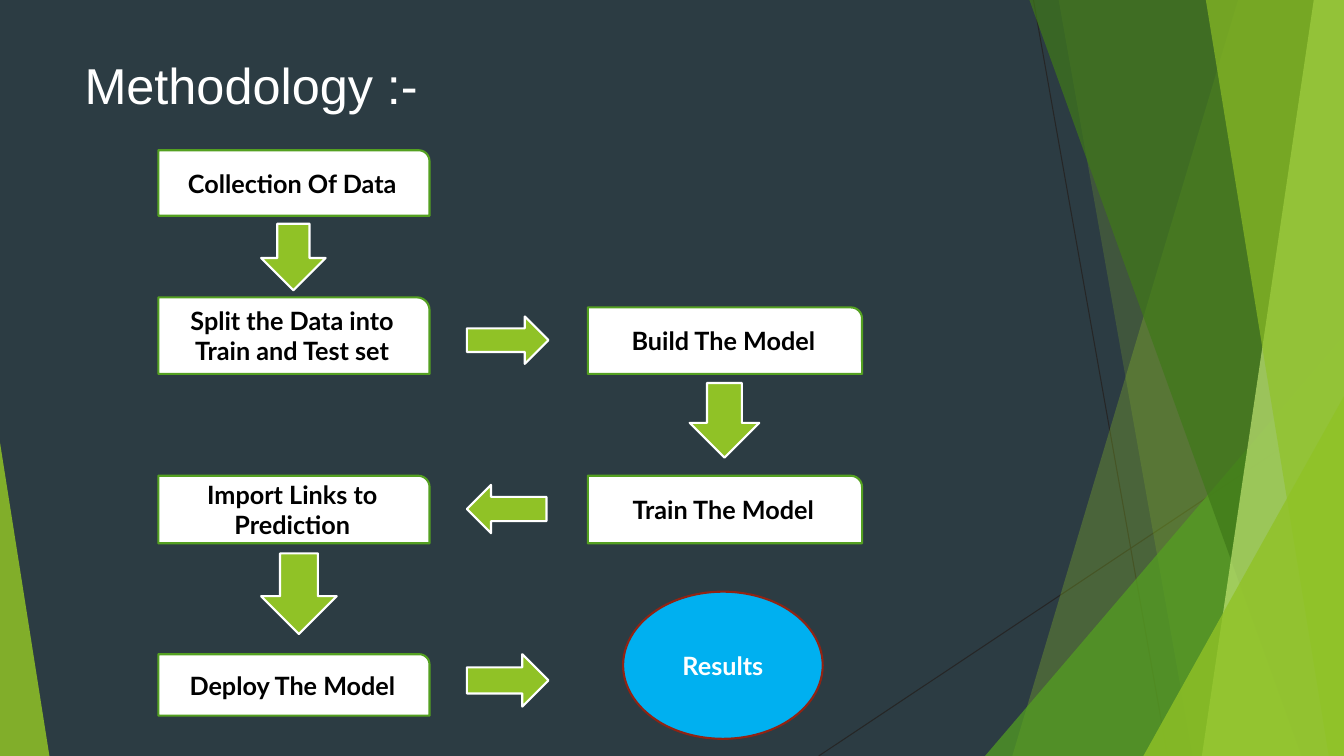
from lxml import etree
from pptx import Presentation
from pptx.dml.color import RGBColor
from pptx.enum.shapes import MSO_CONNECTOR, MSO_SHAPE
from pptx.enum.text import MSO_ANCHOR, PP_ALIGN
from pptx.oxml.ns import qn
from pptx.util import Inches, Pt

STRAIGHT = MSO_CONNECTOR.STRAIGHT
TRIANGLE = MSO_SHAPE.ISOSCELES_TRIANGLE
STEP = MSO_SHAPE.ROUND_1_RECTANGLE
ELLIPSE = MSO_SHAPE.OVAL
DOWN, LEFT, RIGHT = MSO_SHAPE.DOWN_ARROW, MSO_SHAPE.LEFT_ARROW, MSO_SHAPE.RIGHT_ARROW
MIDDLE = MSO_ANCHOR.MIDDLE
ALIGN_LEFT, ALIGN_CENTER = PP_ALIGN.LEFT, PP_ALIGN.CENTER

WIDTH, HEIGHT = 13.33, 7.5
LIME, GREEN, FOREST, PALE = "90C226", "54A021", "3F7819", "C0E474"
WHITE, BLACK, DARK = "FFFFFF", "000000", "262626"


def color(value):
    return RGBColor.from_string(value)


class FlowSlide:
    title_font, body_font = "Arial", "Lato"

    def __init__(self, slide, background):
        self.shapes = slide.shapes
        fill = slide.background.fill
        fill.solid()
        fill.fore_color.rgb = color(background)

    def paint(self, shape, fill, line=None, opacity=100):
        shape.shadow.inherit = False
        shape.fill.solid()
        shape.fill.fore_color.rgb = color(fill)
        if opacity < 100:
            tint = shape._element.spPr.find(qn("a:solidFill"))[0]
            etree.SubElement(tint, qn("a:alpha"), val=str(opacity * 1000))
        if line:
            shape.line.color.rgb = color(line)
            shape.line.width = Pt(1.5)
        else:
            shape.line.fill.background()

    def label(self, shape, text, font, size, ink, align, bold=False):
        frame = shape.text_frame
        frame.word_wrap = True
        frame.vertical_anchor = MIDDLE
        frame.text = text
        para = frame.paragraphs[0]
        para.alignment = align
        style = para.runs[0].font
        style.name, style.size, style.bold = font, Pt(size), bold
        style.color.rgb = color(ink)
        return para

    def line(self, *ends):
        line = self.shapes.add_connector(STRAIGHT, *map(Inches, ends))
        line.line.color.rgb = color(DARK)
        line.line.width = Pt(0.75)
        etree.SubElement(line._element.spPr, qn("a:effectLst"))

    def band(self, top_left, top_right, bottom_right, bottom_left, fill, opacity):
        corners = [(top_left, 0), (top_right, 0), (bottom_right, HEIGHT), (bottom_left, HEIGHT)]
        points = [(Inches(x), Inches(y)) for x, y in corners]
        builder = self.shapes.build_freeform(*points[0])
        builder.add_line_segments(points[1:], close=True)
        self.paint(builder.convert_to_shape(), fill, opacity=opacity)

    def shape(self, kind, place, fill, line=None, opacity=100):
        shape = self.shapes.add_shape(kind, *map(Inches, place))
        self.paint(shape, fill, line, opacity)
        return shape

    def triangle(self, left, top, width, apex, fill, opacity):
        place = (left, top, width, HEIGHT - top)
        self.shape(TRIANGLE, place, fill, opacity=opacity).adjustments[0] = apex

    def title(self, text, place):
        box = self.shapes.add_textbox(*map(Inches, place))
        para = self.label(box, text, self.title_font, 36, WHITE, ALIGN_LEFT)
        para.line_spacing = 0.9

    def node(self, kind, text, place, fill, line, ink):
        box = self.shape(kind, place, fill, line)
        self.label(box, text, self.body_font, 18, ink, ALIGN_CENTER, bold=True)

    def arrow(self, kind, *place):
        self.shape(kind, place, LIME, WHITE)


def main():
    deck = Presentation()
    deck.slide_width, deck.slide_height = Inches(WIDTH), Inches(HEIGHT)
    page = FlowSlide(deck.slides.add_slide(deck.slide_layouts[6]), "2C3C43")

    # Faceted backdrop
    page.line(10.25, 0, 11.58, HEIGHT)
    page.line(WIDTH, 4.03, 8.12, HEIGHT)
    page.band(12.28, WIDTH, WIDTH, 10.04, LIME, 30)
    page.band(10.5, WIDTH, WIDTH, 11.83, LIME, 20)
    page.triangle(9.77, 3.33, 3.56, 1, GREEN, 72)
    page.band(10.21, WIDTH, WIDTH, 12.91, FOREST, 70)
    page.band(13.03, WIDTH, WIDTH, 11.92, PALE, 70)
    page.band(11.96, WIDTH, WIDTH, 13.18, LIME, 65)
    page.triangle(11.34, 3.93, 1.99, 1, LIME, 80)
    page.triangle(0, 4.39, 0.49, 0, LIME, 85)

    page.title("Methodology :-", (0.74, 0.43, 9.4, 0.88))

    # Process steps in two columns: left and width, then top and height
    first, second = (1.57, 2.69), (5.83, 2.72)
    steps = [
        ("Collection Of Data", first, 1.49, 0.65),
        ("Split the Data into Train and Test set", first, 2.95, 0.76),
        ("Build The Model", second, 3.05, 0.66),
        ("Train The Model", second, 4.72, 0.67),
        ("Import Links to Prediction", first, 4.72, 0.67),
        ("Deploy The Model", first, 6.49, 0.61),
    ]
    for text, (left, width), top, height in steps:
        page.node(STEP, text, (left, top, width, height), WHITE, GREEN, BLACK)
    page.node(ELLIPSE, "Results", (6.18, 5.87, 1.98, 1.46), "00B0F0", "912313", WHITE)

    # Arrows in reading order of the flow
    page.arrow(DOWN, 2.59, 2.22, 0.64, 0.66)
    page.arrow(RIGHT, 4.63, 3.14, 0.81, 0.47)
    page.arrow(DOWN, 6.84, 3.8, 0.69, 0.74)
    page.arrow(LEFT, 4.63, 4.81, 0.79, 0.48)
    page.arrow(DOWN, 2.59, 5.49, 0.75, 0.8)
    page.arrow(RIGHT, 4.63, 6.49, 0.81, 0.52)

    deck.save("out.pptx")


if __name__ == "__main__":
    main()
